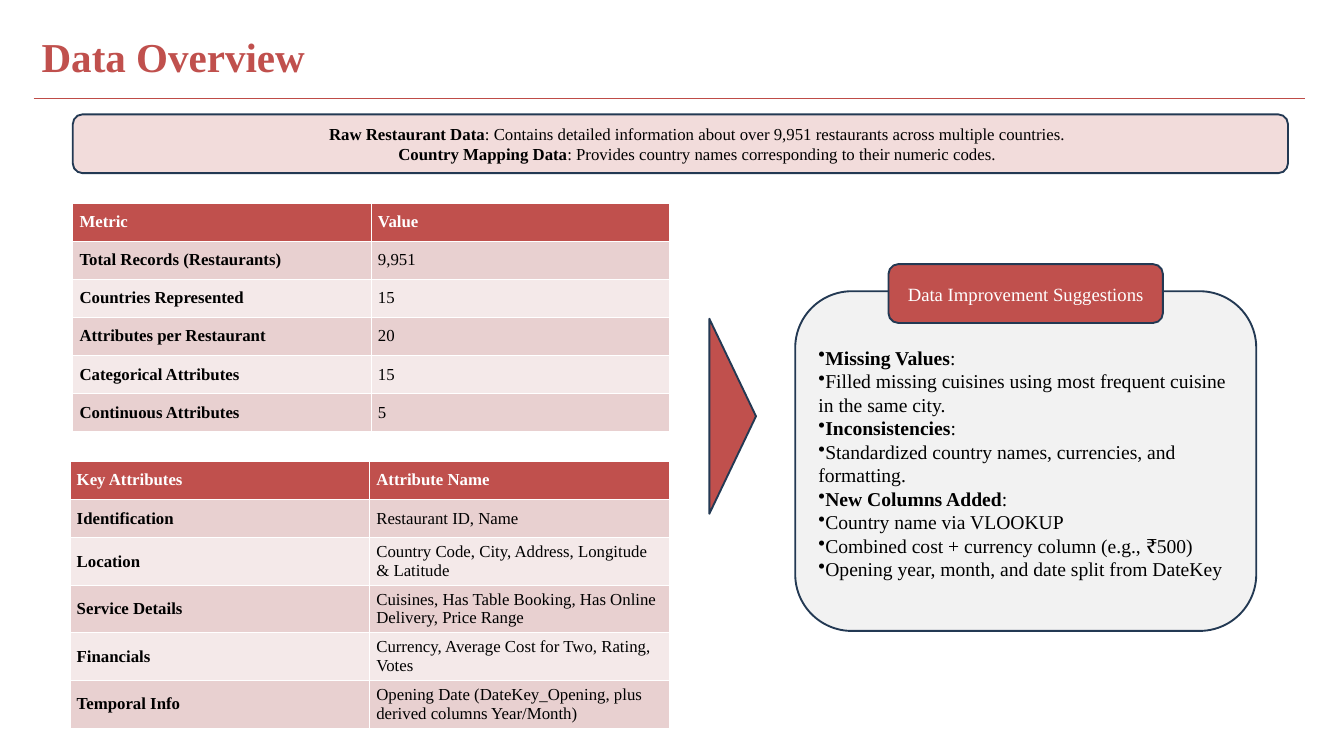
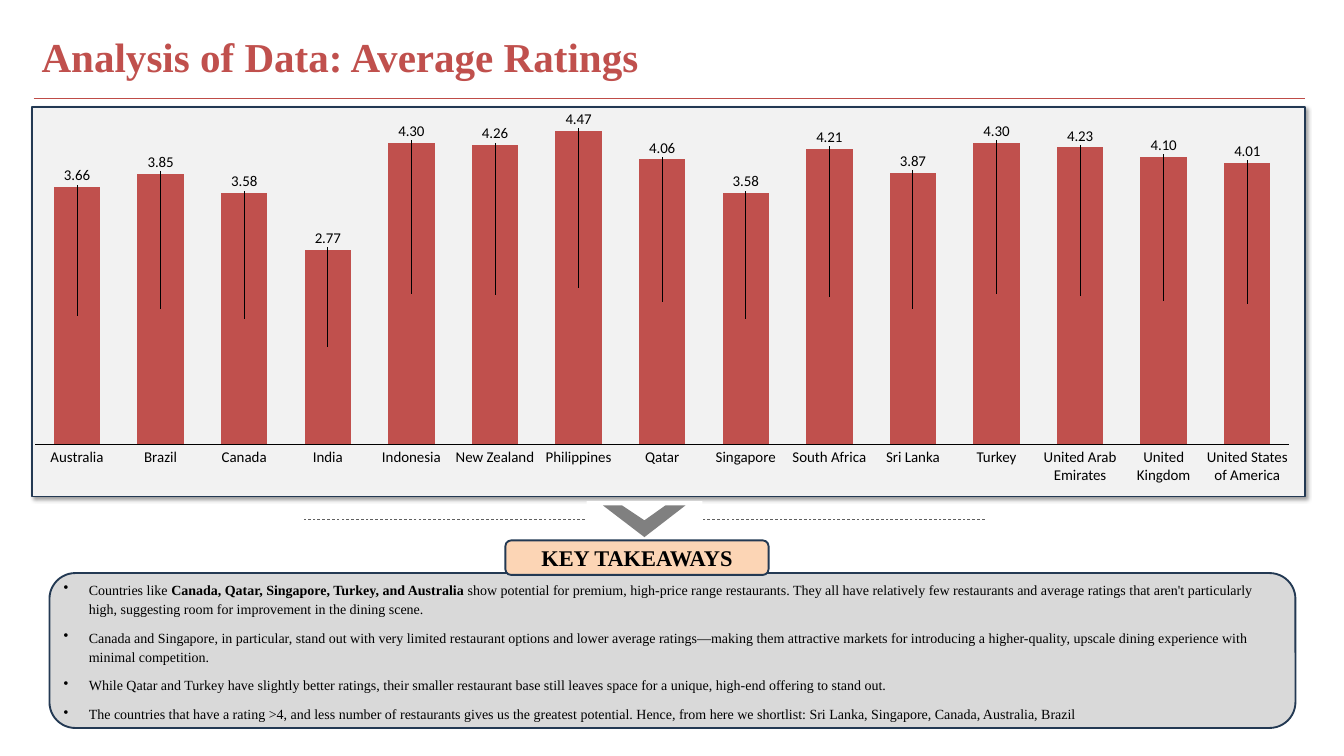
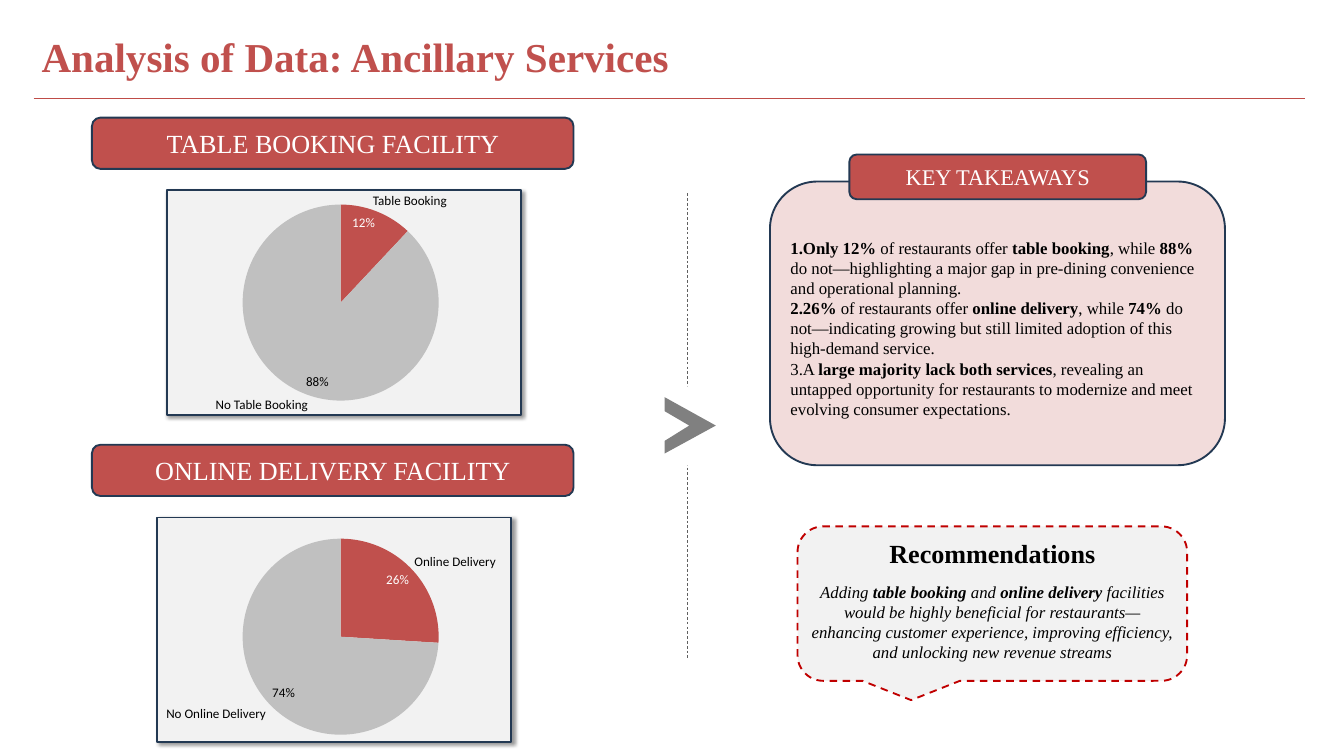
"""Builds three slides on restaurant data: overview, ratings and services."""
import pptx
import pptx.chart.data
import pptx.dml.color
import pptx.enum.chart
import pptx.enum.dml
import pptx.enum.shapes
import pptx.enum.text
import pptx.oxml
import pptx.oxml.ns
import pptx.util

Pt = pptx.util.Pt
RGB = pptx.dml.color.RGBColor.from_string
Kind = pptx.enum.shapes.MSO_SHAPE
Side = pptx.enum.text.PP_ALIGN
Hold = pptx.enum.text.MSO_ANCHOR
Plot = pptx.enum.chart
Dash = pptx.enum.dml.MSO_LINE.DASH
Wire = pptx.enum.shapes.MSO_CONNECTOR.STRAIGHT
xml = pptx.oxml.parse_xml
qn = pptx.oxml.ns.qn
nsa = pptx.oxml.ns.nsdecls("a")
nsc = pptx.oxml.ns.nsdecls("c")


class Theme:
    red, rule, alert = "C0504D", "BF4C48", "C00000"
    navy, black, white = "233953", "000000", "FFFFFF"
    pale, mist, grey, peach = "F2DCDB", "F2F2F2", "D9D9D9", "FCD5B5"
    arrow, dots, slice = "808080", "606060", "C0C0C0"
    bands = ["E8D0D0", "F4E9E9"]
    serif, sans = "Times New Roman", "Calibri"
    title, head, tag, lead, list, body, axis, note, pie = 44, 28, 24, 20, 21, 18, 16, 15, 14


def draw(slide, kind, box, fill, edge=Theme.navy):
    shape = slide.shapes.add_shape(kind, *map(Pt, box))
    shape.shadow.inherit = False
    shape.fill.solid()
    shape.fill.fore_color.rgb = RGB(fill)
    if edge:
        shape.line.color.rgb = RGB(edge)
        shape.line.width = Pt(2)
    else:
        shape.line.fill.background()
    return shape


def write(frame, lines, size, ink=Theme.black, align=Side.CENTER, face=Theme.serif,
          mark=None, italic=False, anchor=Hold.MIDDLE):
    frame.word_wrap = True
    frame.vertical_anchor = anchor
    for row, line in enumerate(lines):
        para = frame.paragraphs[0] if row == 0 else frame.add_paragraph()
        para.alignment = align
        for turn, part in enumerate(line.split("**")):
            if part:
                run = para.add_run()
                run.text = part
                run.font.size = Pt(size)
                run.font.name = face
                run.font.bold = turn % 2 == 1
                run.font.italic = italic
                run.font.color.rgb = RGB(ink)
        if mark:
            para._p.get_or_add_pPr().append(xml(f"<a:{mark} {nsa}/>"))
    return frame


deck = pptx.Presentation()
deck.slide_width, deck.slide_height = Pt(1440), Pt(810)

pages = []
for name in ["Data Overview", "Analysis of Data: Average Ratings",
             "Analysis of Data: Ancillary Services"]:
    page = deck.slides.add_slide(deck.slide_layouts[6])
    box = page.shapes.add_textbox(Pt(37.5), Pt(30), Pt(1290), Pt(60))
    write(box.text_frame, [f"**{name}**"], Theme.title, Theme.red, Side.LEFT, anchor=Hold.TOP)
    rule = page.shapes.add_connector(Wire, Pt(36), Pt(105), Pt(1398), Pt(105))
    rule.line.color.rgb = RGB(Theme.rule)
    rule.line.width = Pt(0.75)
    rule._element.spPr.append(xml(f"<a:effectLst {nsa}/>"))
    pages.append(page)
facts, rates, extras = pages

for page, box in [(rates, (34.5, 115, 1364, 417)), (extras, (178.5, 204, 379.5, 240.5)),
                  (extras, (168.5, 554.5, 379.5, 240.5))]:
    card = draw(page, Kind.RECTANGLE, box, Theme.mist)
    glow = card._element.spPr.find(qn("a:effectLst"))
    glow.append(xml(
        f'<a:outerShdw {nsa} blurRad="{Pt(4)}" dist="{Pt(3)}" dir="2700000" algn="tl" '
        f'rotWithShape="0"><a:srgbClr val="{Theme.black}"><a:alpha val="40000"/></a:srgbClr>'
        "</a:outerShdw>"))

for page, ends, gap, dots in [
    (rates, (1055, 556.5, 326, 556.5), (628.5, 537, 124, 42),
     [(734.5, 541.5), (713, 541.5), (690.5, 557.5), (666.5, 541.5), (646, 541.5), (690.5, 575.5)]),
    (extras, (736.5, 207, 736.5, 705), (705.5, 414, 68, 85),
     [(712, 425.5), (712, 440.5), (738.5, 456), (712, 472.5), (712, 486), (767, 456)]),
]:
    line = page.shapes.add_connector(Wire, *map(Pt, ends))
    line.line.color.rgb = RGB(Theme.dots)
    line.line.width = Pt(0.75)
    line.line.dash_style = Dash
    line._element.spPr.append(xml(f"<a:effectLst {nsa}/>"))
    draw(page, Kind.RECTANGLE, gap, Theme.white, None)
    pen = page.shapes.build_freeform(*map(Pt, dots[0]))
    pen.add_line_segments([(Pt(x), Pt(y)) for x, y in dots[1:]])
    arrow = pen.convert_to_shape()
    arrow.shadow.inherit = False
    arrow.fill.solid()
    arrow.fill.fore_color.rgb = RGB(Theme.arrow)
    arrow.line.fill.background()

banner = draw(facts, Kind.ROUNDED_RECTANGLE, (78, 122.5, 1302, 63), Theme.pale)
write(banner.text_frame, [
    "**Raw Restaurant Data**: Contains detailed information about over 9,951 restaurants "
    "across multiple countries.",
    "**Country Mapping Data**: Provides country names corresponding to their numeric codes.",
], Theme.body)
for para in banner.text_frame.paragraphs:
    para._p.get_or_add_pPr().set("marL", str(Pt(36)))

stats = [("Metric", "Value"), ("Total Records (Restaurants)", "9,951"),
         ("Countries Represented", "15"), ("Attributes per Restaurant", "20"),
         ("Categorical Attributes", "15"), ("Continuous Attributes", "5")]
fields = [("Key Attributes", "Attribute Name"), ("Identification", "Restaurant ID, Name"),
          ("Location", "Country Code, City, Address, Longitude & Latitude"),
          ("Service Details", "Cuisines, Has Table Booking, Has Online Delivery, Price Range"),
          ("Financials", "Currency, Average Cost for Two, Rating, Votes"),
          ("Temporal Info", "Opening Date (DateKey_Opening, plus derived columns Year/Month)")]
for rows, left, top, wide, highs in [
    (stats, 78, 217.5, 639.5, [40.8] * 6),
    (fields, 75, 494, 642, [41] * 2 + [51] * 4),
]:
    grid = facts.shapes.add_table(6, 2, Pt(left), Pt(top), Pt(wide), Pt(sum(highs))).table
    for r, row in enumerate(rows):
        grid.rows[r].height = Pt(highs[r])
        for c, text in enumerate(row):
            cell = grid.cell(r, c)
            cell.fill.solid()
            cell.fill.fore_color.rgb = RGB(Theme.bands[(r - 1) % 2] if r else Theme.red)
            cell.vertical_anchor = Hold.MIDDLE
            bold = r == 0 or c == 0
            write(cell.text_frame, [f"**{text}**" if bold else text], Theme.body,
                  Theme.black if r else Theme.white, Side.LEFT)

tips = draw(facts, Kind.ROUNDED_RECTANGLE, (852, 312, 494, 364), Theme.mist)
write(tips.text_frame, [
    "**Missing Values**:",
    "Filled missing cuisines using most frequent cuisine in the same city.",
    "**Inconsistencies**:",
    "Standardized country names, currencies, and formatting.",
    "**New Columns Added**:",
    "Country name via VLOOKUP",
    "Combined cost + currency column (e.g., ₹500)",
    "Opening year, month, and date split from DateKey",
], Theme.list, align=Side.LEFT, mark='buChar char="•"')
tips.text_frame.margin_top = Pt(8)
wedge = draw(facts, Kind.ISOSCELES_TRIANGLE, (680.5, 421, 209, 50), Theme.red)
wedge.rotation = 90

lands = ["Australia", "Brazil", "Canada", "India", "Indonesia", "New Zealand", "Philippines",
         "Qatar", "Singapore", "South Africa", "Sri Lanka", "Turkey", "United Arab Emirates",
         "United Kingdom", "United States of America"]
marks = [3.66, 3.85, 3.58, 2.77, 4.30, 4.26, 4.47, 4.06, 3.58, 4.21, 3.87, 4.30, 4.23, 4.10, 4.01]
Type = Plot.XL_CHART_TYPE
charts = []
for page, kind, box, form, names, vals, area in [
    (rates, Type.COLUMN_STACKED, (31, 101, 1357, 402), "0.00", lands, marks,
     (0.005, 0.097, 0.99, 0.835)),
    (extras, Type.PIE, (253.5, 188.5, 223, 271.5), '0"%"',
     ["Table Booking", "No Table Booking"], [12, 88], (0.029, 0.113, 0.942, 0.774)),
    (extras, Type.PIE, (253.5, 546.5, 223, 271.5), '0"%"',
     ["Online Delivery", "No Online Delivery"], [26, 74], (0.029, 0.113, 0.942, 0.774)),
]:
    data = pptx.chart.data.CategoryChartData(number_format=form)
    data.categories = names
    data.add_series("Share" if kind == Type.PIE else "Average rating", vals)
    chart = page.shapes.add_chart(kind, *map(Pt, box), data).chart
    chart.has_legend = chart.has_title = False
    chart.font.name = Theme.sans
    chart.font.size = Pt(Theme.pie)
    chart.font.color.rgb = RGB(Theme.black)
    root = chart._chartSpace
    root.find(qn("c:chart")).addnext(
        xml(f"<c:spPr {nsc} {nsa}><a:noFill/><a:ln><a:noFill/></a:ln></c:spPr>"))
    field = root.find(".//" + qn("c:plotArea"))
    for old in field.findall(qn("c:layout")):
        field.remove(old)
    sizes = "".join(f'<c:{key} val="{val}"/>' for key, val in zip("xywh", area))
    field.insert(0, xml(
        f'<c:layout {nsc}><c:manualLayout><c:layoutTarget val="inner"/><c:xMode val="edge"/>'
        f'<c:yMode val="edge"/>{sizes}</c:manualLayout></c:layout>'))
    charts.append(chart)

bars = charts[0]
bars.plots[0].gap_width, bars.plots[0].overlap = 80, 100
bars.plots[0].vary_by_categories = False
base, scale = bars.category_axis, bars.value_axis
base.tick_label_position = Plot.XL_TICK_LABEL_POSITION.NONE
base.major_tick_mark = Plot.XL_TICK_MARK.NONE
base.format.line.color.rgb = RGB(Theme.black)
base.format.line.width = Pt(0.75)
scale.minimum_scale, scale.maximum_scale = 0, max(marks)
scale.has_major_gridlines = scale.visible = False
series = bars.plots[0].series[0]
series.format.fill.solid()
series.format.fill.fore_color.rgb = RGB(Theme.red)
for spot in range(len(marks)):
    series.points[spot].data_label.font.size = Pt(Theme.axis)
for label, mark in zip(series._element.iter(qn("c:dLbl")), marks):
    lift = 0.03 + mark / max(marks) * 0.835 / 2
    label[0].addnext(xml(
        f'<c:layout {nsc}><c:manualLayout><c:x val="0"/><c:y val="{-lift:.3f}"/>'
        "</c:manualLayout></c:layout>"))

for chart in charts[1:]:
    series = chart.plots[0].series[0]
    for spot, (fill, ink) in enumerate([(Theme.red, Theme.white), (Theme.slice, Theme.black)]):
        point = series.points[spot]
        point.format.fill.solid()
        point.format.fill.fore_color.rgb = RGB(fill)
        point.data_label.font.size = Pt(Theme.pie)
        point.data_label.font.color.rgb = RGB(ink)
        point.data_label.position = Plot.XL_LABEL_POSITION.INSIDE_END

step = 1357 * 0.99 / len(lands)
names = [(rates, land, 37.75 + step * n, 480, step, Theme.axis, Side.CENTER)
         for n, land in enumerate(lands)]
names += [(extras, "Table Booking", 399.5, 206, 120, Theme.pie, Side.LEFT),
          (extras, "No Table Booking", 210, 425, 120, Theme.pie, Side.RIGHT),
          (extras, "Online Delivery", 444, 592.5, 120, Theme.pie, Side.LEFT),
          (extras, "No Online Delivery", 165, 755.5, 120, Theme.pie, Side.RIGHT)]
for page, text, left, top, wide, size, align in names:
    box = page.shapes.add_textbox(Pt(left), Pt(top), Pt(wide), Pt(size * 1.2))
    frame = box.text_frame
    frame.margin_left = frame.margin_right = frame.margin_top = frame.margin_bottom = 0
    write(frame, [text], size, align=align, face=Theme.sans, anchor=Hold.TOP)

notes = draw(rates, Kind.ROUNDED_RECTANGLE, (53, 614, 1335, 166), Theme.grey)
write(notes.text_frame, [
    "Countries like **Canada, Qatar, Singapore, Turkey, and Australia** show potential for "
    "premium, high-price range restaurants. They all have relatively few restaurants and average "
    "ratings that aren't particularly high, suggesting room for improvement in the dining scene.",
    "Canada and Singapore, in particular, stand out with very limited restaurant options and lower "
    "average ratings—making them attractive markets for introducing a higher-quality, upscale "
    "dining experience with minimal competition.",
    "While Qatar and Turkey have slightly better ratings, their smaller restaurant base still "
    "leaves space for a unique, high-end offering to stand out.",
    "The countries that have a rating >4, and less number of restaurants gives us the greatest "
    "potential. Hence, from here we shortlist: Sri Lanka, Singapore, Canada, Australia, Brazil",
], Theme.note, align=Side.LEFT, mark='buChar char="•"')
for para in notes.text_frame.paragraphs:
    para.line_spacing = 1.15
    para.space_after = Pt(10)
    para._p.pPr.set("marL", str(Pt(27)))
    para._p.pPr.set("indent", str(-Pt(27)))

gains = draw(extras, Kind.ROUNDED_RECTANGLE, (825, 194.5, 487.5, 304), Theme.pale)
write(gains.text_frame, [
    "**Only 12%** of restaurants offer **table booking**, while **88%** do not—highlighting a "
    "major gap in pre-dining convenience and operational planning.",
    "**26%** of restaurants offer **online delivery**, while **74%** do not—indicating growing "
    "but still limited adoption of this high-demand service.",
    "A **large majority lack both services**, revealing an untapped opportunity for restaurants "
    "to modernize and meet evolving consumer expectations.",
], Theme.body, align=Side.LEFT, mark='buAutoNum type="arabicPeriod"', anchor=Hold.TOP)
gains.text_frame.margin_top = Pt(45)

for page, text, box, fill, size, ink in [
    (facts, "Data Improvement Suggestions", (952, 283, 294, 63), Theme.red, Theme.lead, Theme.white),
    (rates, "**KEY TAKEAWAYS**", (541.5, 579, 282, 37), Theme.peach, Theme.tag, Theme.black),
    (extras, "TABLE BOOKING FACILITY", (98.5, 126, 516, 55), Theme.red, Theme.head, Theme.white),
    (extras, "ONLINE DELIVERY FACILITY", (98.5, 476.5, 516, 55), Theme.red, Theme.head, Theme.white),
    (extras, "KEY TAKEAWAYS", (910, 165.5, 318, 48), Theme.red, Theme.tag, Theme.white),
]:
    write(draw(page, Kind.ROUNDED_RECTANGLE, box, fill).text_frame, [text], size, ink)

advice = draw(extras, Kind.ROUNDED_RECTANGULAR_CALLOUT, (854.5, 564, 417.5, 165.5),
              Theme.mist, Theme.alert)
advice.line.dash_style = Dash
frame = write(advice.text_frame, [
    "**Recommendations**",
    "Adding **table booking** and **online delivery** facilities would be highly beneficial for "
    "restaurants—enhancing customer experience, improving efficiency, and unlocking new revenue "
    "streams",
], Theme.body, italic=True, anchor=Hold.TOP)
frame.paragraphs[0].space_after = Pt(14)
frame.paragraphs[0].runs[0].font.size = Pt(Theme.head)
frame.paragraphs[0].runs[0].font.italic = False

deck.save("out.pptx")
